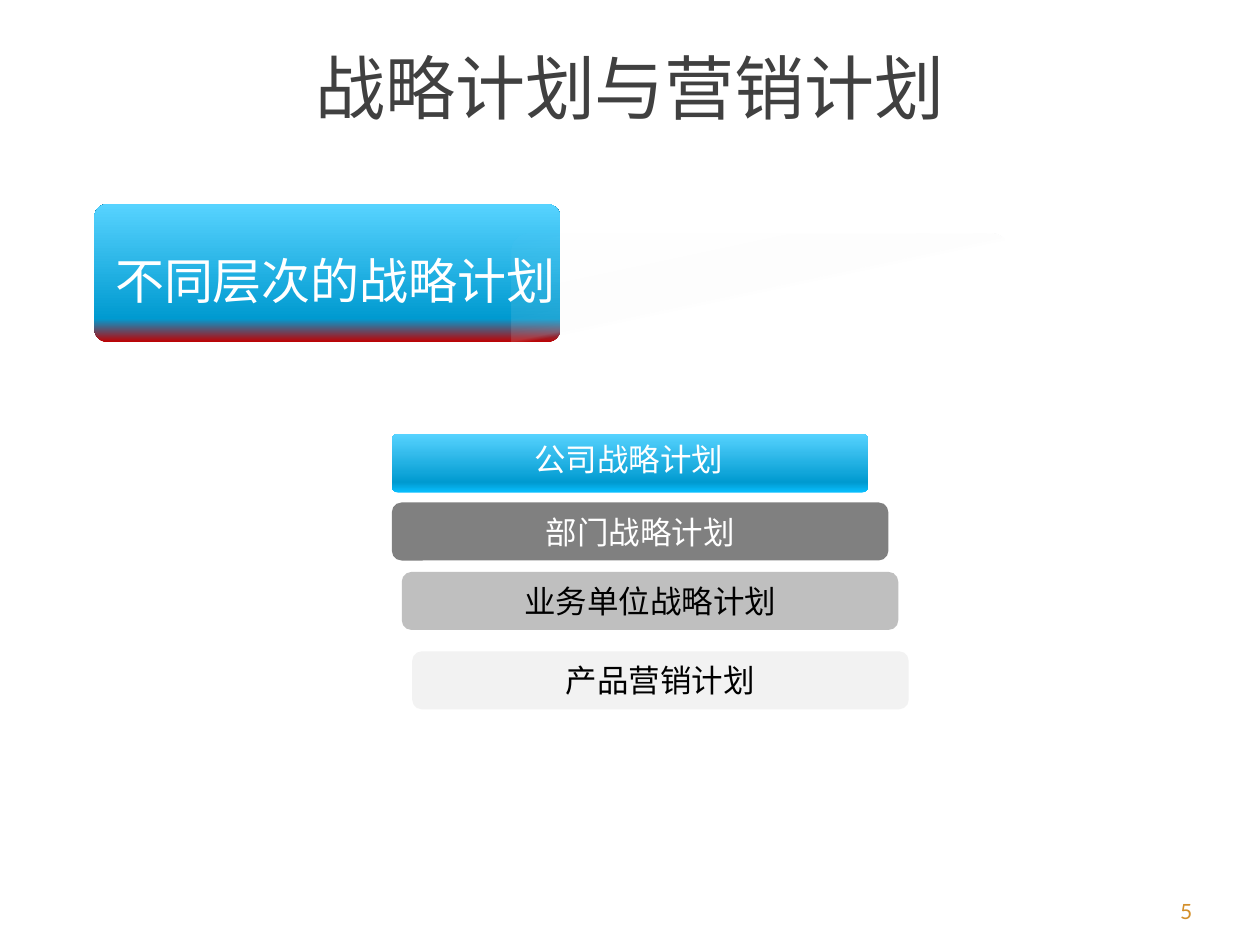
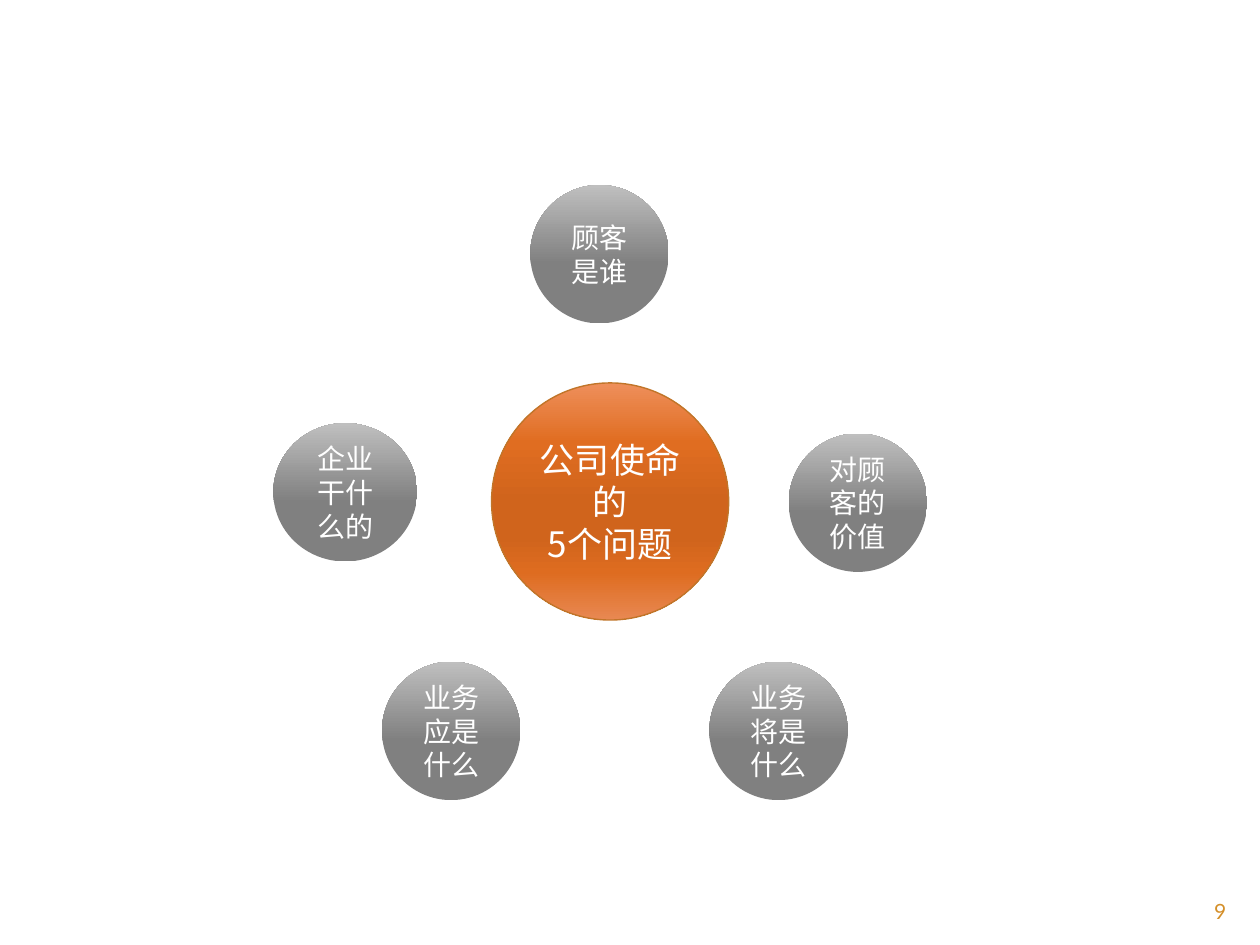
import dataclasses

import lxml.etree
import pptx
import pptx.dml.color
import pptx.enum.shapes
import pptx.enum.text
import pptx.oxml.ns
import pptx.util

Cm = pptx.util.Cm
qn = pptx.oxml.ns.qn
SHAPE = pptx.enum.shapes.MSO_SHAPE
ALIGN = pptx.enum.text.PP_ALIGN
ANCHOR = pptx.enum.text.MSO_ANCHOR


@dataclasses.dataclass(frozen=True)
class Theme:
    cjk: str = "Noto Sans CJK SC"
    latin: str = "Lato"
    white: str = "FFFFFF"
    black: str = "000000"
    title: str = "404040"
    number: str = "D48F29"
    outline: str = "C17529"
    dark_grey: str = "808080"
    mid_grey: str = "BFBFBF"
    light_grey: str = "F2F2F2"
    title_size: int = 40
    heading_size: int = 28
    hub_size: int = 20
    bar_size: int = 18
    circle_size: int = 16
    number_size: int = 12
    red_blue: tuple = ((0, "C00000"), (17, "009AD0"), (100, "57D3FF"))
    blue: tuple = ((0, "09BFFF"), (17, "009AD0"), (100, "57D3FF"))
    grey: tuple = ((0, "808080"), (43, "808080"), (100, "BFBFBF"))
    orange: tuple = ((0, "EE8F5B"), (25, "E06D21"), (50, "D0641C"),
                     (65, "D0641C"), (80, "DE6C20"), (100, "E88852"))
    shine: tuple = ((0, "FFFFFF", 0), (50, "F5F5F5", 14), (52, "FFFFFF", 0))


THEME = Theme()


def rgb(color):
    return pptx.dml.color.RGBColor.from_string(color)


def set_all(target, values):
    for name, value in values.items():
        setattr(target, name, value)


def write(shape, lines, size, color, align=ALIGN.CENTER, font=THEME.cjk, **frame_values):
    frame = shape.text_frame
    set_all(frame, {"word_wrap": True, **frame_values})
    for index, line in enumerate(lines):
        para = frame.add_paragraph() if index else frame.paragraphs[0]
        para.alignment = align
        span = para.add_run()
        span.text = line
        set_all(span.font, {"name": font, "size": pptx.util.Pt(size)})
        span.font.color.rgb = rgb(color)
        lxml.etree.SubElement(span.font._element, qn("a:ea"), typeface=font)


def fill_gradient(shape, stops, angle):
    shape.fill.background()
    properties = shape._element.spPr
    gradient = lxml.etree.Element(qn("a:gradFill"), rotWithShape="1")
    stop_list = lxml.etree.SubElement(gradient, qn("a:gsLst"))
    for position, color, *opacity in stops:
        stop = lxml.etree.SubElement(stop_list, qn("a:gs"), pos=str(position * 1000))
        tone = lxml.etree.SubElement(stop, qn("a:srgbClr"), val=color)
        for percent in opacity:
            lxml.etree.SubElement(tone, qn("a:alpha"), val=str(percent * 1000))
    lxml.etree.SubElement(gradient, qn("a:lin"), ang=str(angle * 60000), scaled="0")
    properties.replace(properties.find(qn("a:noFill")), gradient)


def add_form(page, kind, bounds, fill, angle=270, corner=None):
    shape = page.shapes.add_shape(kind, *map(Cm, bounds))
    shape.shadow.inherit = False
    shape.line.fill.background()
    if corner is not None:
        shape.adjustments[0] = corner
    if isinstance(fill, str):
        shape.fill.solid()
        shape.fill.fore_color.rgb = rgb(fill)
    else:
        fill_gradient(shape, fill, angle)
    return shape


def add_label(page, bounds, text, size, color, **text_values):
    box = page.shapes.add_textbox(*map(Cm, bounds))
    write(box, [text], size, color, **text_values)


def add_page_number(page, number, align):
    add_label(page, (22.86, 17.98, 2.11, 0.69), number, THEME.number_size,
              THEME.number, align=align, font=THEME.latin)


def add_title(page, text):
    title = page.shapes.title
    bounds = map(Cm, (1.27, 0.76, 22.86, 1.96))
    set_all(title, dict(zip(("left", "top", "width", "height"), bounds)))
    write(title, [text], THEME.title_size, THEME.title, vertical_anchor=ANCHOR.MIDDLE)


def add_bar(page, left, top, text, fill, color):
    bar = add_form(page, SHAPE.ROUNDED_RECTANGLE, (left, top, 10.01, 1.17), fill)
    write(bar, [text], THEME.bar_size, color, vertical_anchor=ANCHOR.MIDDLE)


def add_circle(page, bounds, lines, fill, size, angle=270):
    circle = add_form(page, SHAPE.OVAL, bounds, fill, angle)
    write(circle, lines, size, THEME.white, vertical_anchor=ANCHOR.MIDDLE)
    return circle


def build_plan_levels(deck):
    page = deck.slides.add_slide(deck.slide_layouts[5])
    add_title(page, "战略计划与营销计划")
    add_page_number(page, "5", ALIGN.CENTER)
    add_form(page, SHAPE.ROUNDED_RECTANGLE, (1.9, 4.11, 9.4, 2.79),
             THEME.red_blue, corner=0.1)
    add_form(page, SHAPE.ROUND_2_SAME_RECTANGLE, (10.31, 4.72, 10.01, 2.21),
             THEME.shine, angle=78)
    for bar in (
        (7.9, 10.13, "部门战略计划", THEME.dark_grey, THEME.white),
        (8.1, 11.53, "业务单位战略计划", THEME.mid_grey, THEME.black),
        (8.31, 13.13, "产品营销计划", THEME.light_grey, THEME.black),
    ):
        add_bar(page, *bar)
    add_form(page, SHAPE.ROUNDED_RECTANGLE, (7.9, 8.74, 9.6, 1.19),
             THEME.blue, corner=0.1)
    add_label(page, (10.49, 8.74, 4.37, 1.02), "公司战略计划",
              THEME.bar_size, THEME.white, word_wrap=False)
    add_label(page, (2.01, 4.93, 9.5, 1.45), "不同层次的战略计划",
              THEME.heading_size, THEME.white, word_wrap=False)


def build_mission_questions(deck):
    page = deck.slides.add_slide(deck.slide_layouts[6])
    add_page_number(page, "9", ALIGN.RIGHT)
    for left, top, width, question in (
        (10.69, 3.73, 2.79, "顾客是谁"),
        (14.3, 13.34, 2.79, "业务将是什么"),
        (5.51, 8.53, 2.9, "企业干什么的"),
        (7.7, 13.34, 2.79, "业务应是什么"),
        (15.9, 8.74, 2.79, "对顾客的价值"),
    ):
        add_circle(page, (left, top, width, 2.79), [question],
                   THEME.grey, THEME.circle_size)
    hub = add_circle(page, (9.91, 7.72, 4.78, 4.78), ["公司使命的", "5个问题"],
                     THEME.orange, THEME.hub_size, angle=90)
    hub.line.color.rgb = rgb(THEME.outline)
    hub.line.width = pptx.util.Pt(0.79)


def main():
    deck = pptx.Presentation()
    set_all(deck, {"slide_width": Cm(25.4), "slide_height": Cm(19.05)})
    build_plan_levels(deck)
    build_mission_questions(deck)
    deck.save("out.pptx")


if __name__ == "__main__":
    main()
